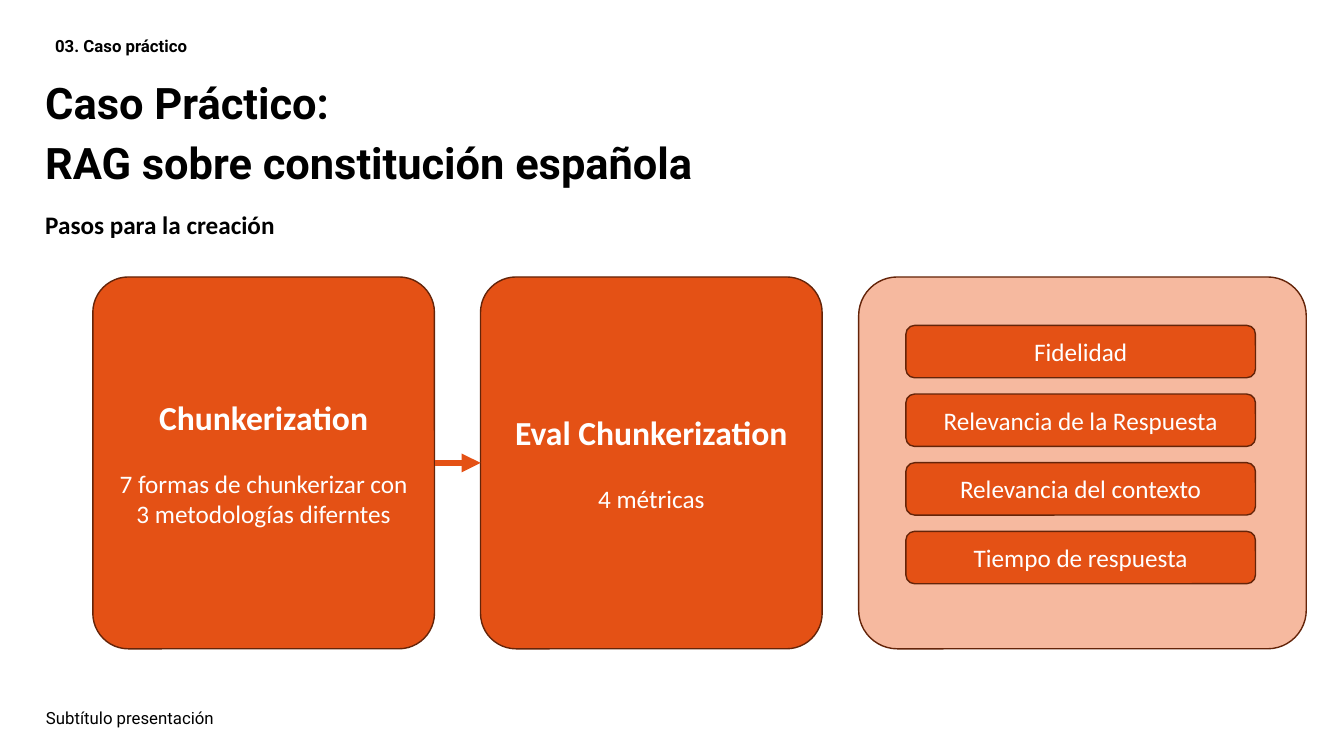
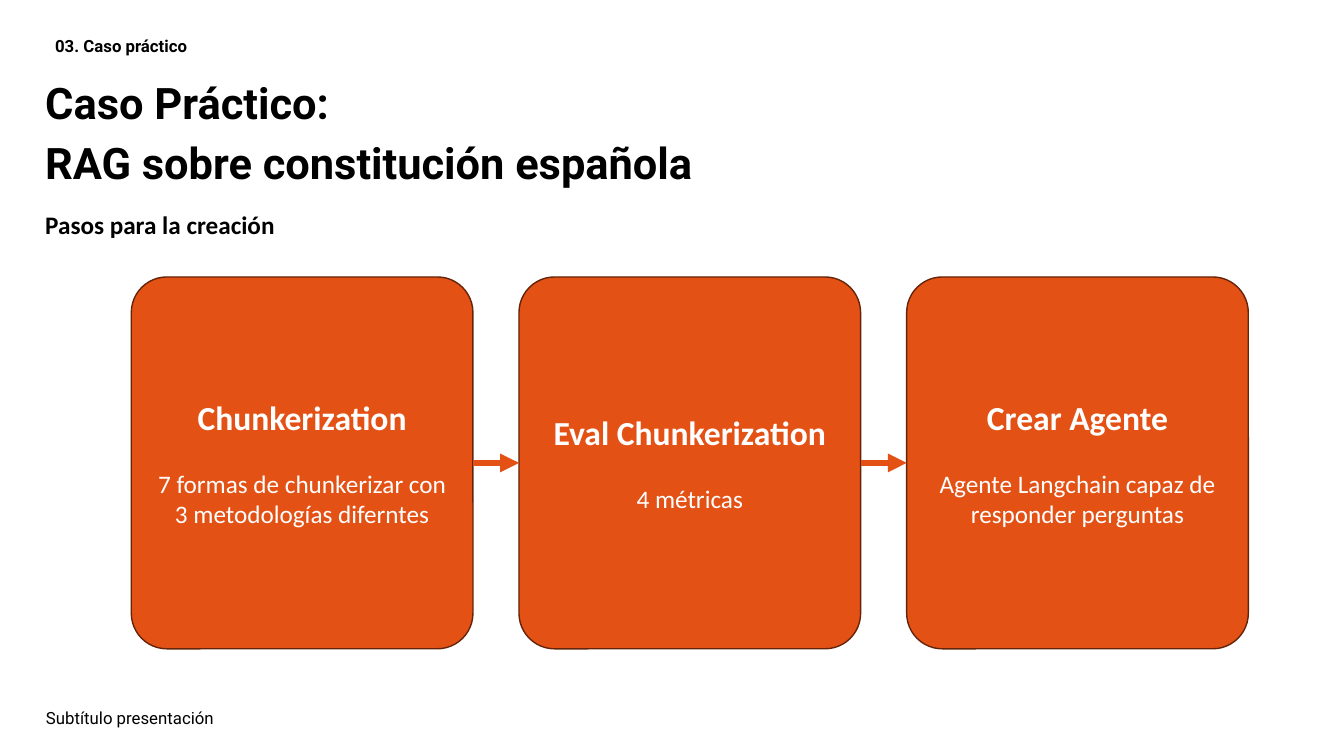
import dataclasses

import lxml.etree
import pptx
import pptx.dml.color
import pptx.enum.shapes
import pptx.enum.text
import pptx.oxml
import pptx.oxml.ns
import pptx.util

Cm = pptx.util.Cm
Pt = pptx.util.Pt
Rgb = pptx.dml.color.RGBColor
Align = pptx.enum.text.PP_ALIGN
Anchor = pptx.enum.text.MSO_ANCHOR


@dataclasses.dataclass(frozen=True)
class Theme:
    accent: Rgb = Rgb(0xE4, 0x51, 0x15)
    pale: Rgb = Rgb(0xF6, 0xB9, 0x9F)
    outline: Rgb = Rgb(0x64, 0x24, 0x09)
    ink: Rgb = Rgb(0, 0, 0)
    paper: Rgb = Rgb(255, 255, 255)
    heading_font: str = "Roboto"
    body_font: str = "Calibri"
    title_size: Pt = Pt(31)
    step_size: Pt = Pt(24)
    body_size: Pt = Pt(18)
    small_size: Pt = Pt(12)


THEME = Theme()

CARD_TOP, CARD_WIDTH, CARD_HEIGHT = Cm(6.98), Cm(8.61), Cm(9.37)
CARD_GAP = Cm(1.16)
CARD_CORNER = 0.104

METRIC_TOP, METRIC_STEP = Cm(8.2), Cm(1.73)

CHUNKING = ("Chunkerization", "7 formas de chunkerizar con 3 metodologías diferntes")
EVALUATION = ("Eval Chunkerization", "4 métricas")
AGENT = ("Crear Agente", "Agente Langchain capaz de responder perguntas")
METRICS = ("Fidelidad", "Relevancia de la Respuesta",
           "Relevancia del contexto", "Tiempo de respuesta")


def add_span(para, text, font, size, color, bold=False):
    span = para.add_run()
    span.text = text
    span.font.name = font
    span.font.size = size
    span.font.color.rgb = color
    span.font.bold = bold


def add_text(page, place, lines, size, font=THEME.heading_font, bold=True,
             anchor=Anchor.MIDDLE):
    frame = page.shapes.add_textbox(*place).text_frame
    frame.word_wrap = True
    frame.vertical_anchor = anchor
    for index, line in enumerate(lines):
        para = frame.add_paragraph() if index else frame.paragraphs[0]
        para.line_spacing = 0.9
        if index:
            para.space_before = Pt(10)
        add_span(para, line, font, size, THEME.ink, bold)


def add_box(page, place, fill, corner=None):
    box = page.shapes.add_shape(
        pptx.enum.shapes.MSO_SHAPE.ROUNDED_RECTANGLE, *place)
    box.shadow.inherit = False
    box.fill.solid()
    box.fill.fore_color.rgb = fill
    box.line.color.rgb = THEME.outline
    box.line.width = Pt(1)
    if corner is not None:
        box.adjustments[0] = corner
    box.text_frame.word_wrap = True
    box.text_frame.vertical_anchor = Anchor.MIDDLE
    return box


def add_box_text(para, text, size, bold=False):
    para.alignment = Align.CENTER
    add_span(para, text, THEME.body_font, size, THEME.paper, bold)


def add_step(page, left, heading, detail):
    box = add_box(page, (left, CARD_TOP, CARD_WIDTH, CARD_HEIGHT),
                  THEME.accent, CARD_CORNER)
    add_box_text(box.text_frame.paragraphs[0], heading, THEME.step_size, True)
    para = box.text_frame.add_paragraph()
    para.space_before = Pt(22)
    add_box_text(para, detail, THEME.body_size)
    return box


def add_arrow(page, source, target):
    """Join the right side of source to the left side of target."""
    arrow = page.shapes.add_connector(
        pptx.enum.shapes.MSO_CONNECTOR.STRAIGHT, 0, 0, 0, 0)
    arrow.begin_connect(source, 3)
    arrow.end_connect(target, 1)
    arrow.line.color.rgb = THEME.accent
    arrow.line.width = Pt(4.5)
    qn = pptx.oxml.ns.qn
    lxml.etree.SubElement(arrow.line._get_or_add_ln(), qn("a:tailEnd"),
                          type="triangle")
    lxml.etree.SubElement(arrow._element.spPr, qn("a:effectLst"))


def add_steps(page, left, steps):
    boxes = [add_step(page, left + index * (CARD_WIDTH + CARD_GAP), *step)
             for index, step in enumerate(steps)]
    for source, target in zip(boxes, boxes[1:]):
        add_arrow(page, source, target)


def add_metrics(page):
    add_box(page, (Cm(21.64), CARD_TOP, Cm(11.28), CARD_HEIGHT),
            THEME.pale, CARD_CORNER)
    for index, metric in enumerate(METRICS):
        place = (Cm(22.83), METRIC_TOP + index * METRIC_STEP, Cm(8.81), Cm(1.32))
        box = add_box(page, place, THEME.accent)
        add_box_text(box.text_frame.paragraphs[0], metric, THEME.body_size)


def add_page(deck):
    """Add a page with the section label, title, subtitle and footer."""
    page = deck.slides.add_slide(deck.slide_layouts[6])
    page.background.fill.solid()
    page.background.fill.fore_color.rgb = THEME.paper
    add_text(page, (Cm(0.91), Cm(17.75), Cm(11.43), Cm(0.76)),
             ["Subtítulo presentación"], THEME.small_size, bold=False)
    add_text(page, (Cm(0.89), Cm(1.93), Cm(17.2), Cm(2.54)),
             ["Caso Práctico:", "RAG sobre constitución española"],
             THEME.title_size, anchor=Anchor.TOP)
    add_text(page, (Cm(1.14), Cm(0.79), Cm(11.56), Cm(0.79)),
             ["03. Caso práctico"], THEME.small_size)
    add_text(page, (Cm(0.89), Cm(5.23), Cm(13.11), Cm(0.97)),
             ["Pasos para la creación"], THEME.body_size,
             font=THEME.body_font, anchor=Anchor.TOP)
    return page


def main():
    deck = pptx.Presentation()
    deck.slide_width, deck.slide_height = Cm(33.87), Cm(19.05)

    metrics_page = add_page(deck)
    add_steps(metrics_page, Cm(2.34), [CHUNKING, EVALUATION])
    add_metrics(metrics_page)

    agent_page = add_page(deck)
    add_steps(agent_page, Cm(3.31), [CHUNKING, EVALUATION, AGENT])

    deck.save("out.pptx")


if __name__ == "__main__":
    main()
